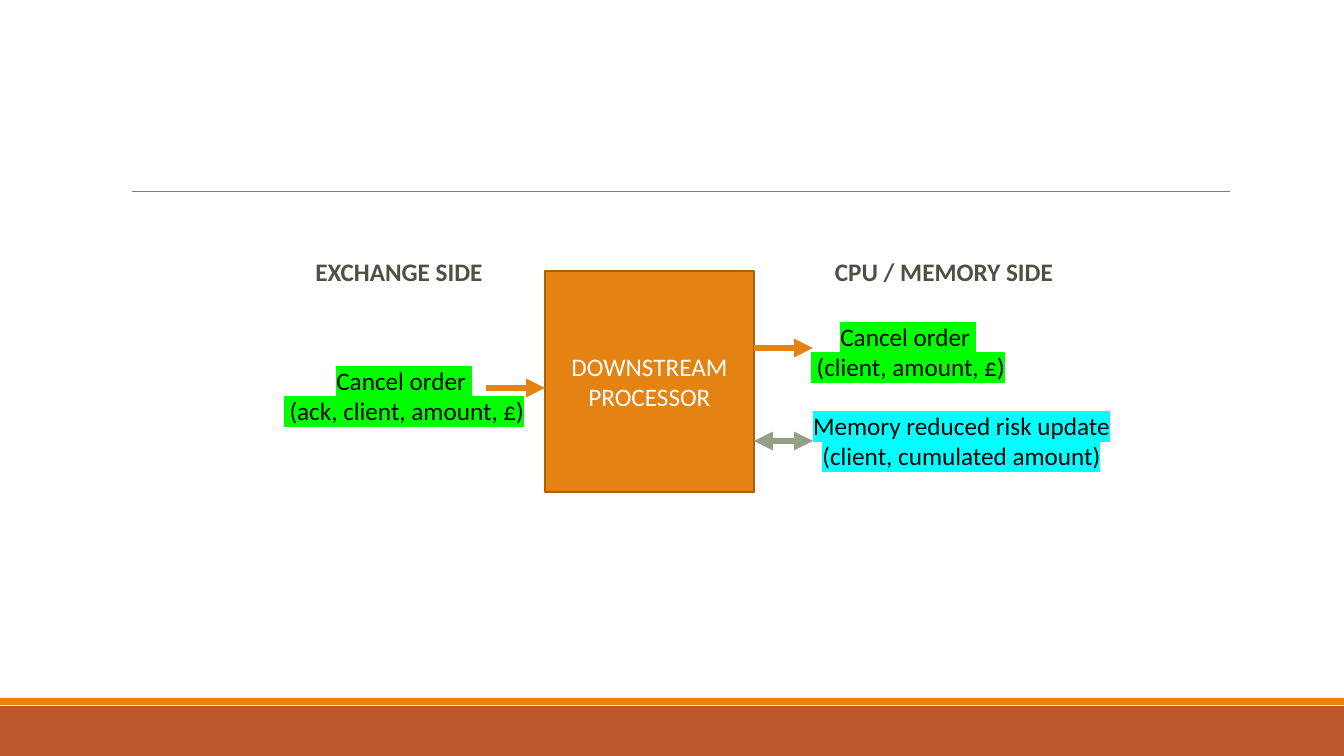
from lxml import etree
from pptx import Presentation
from pptx.dml.color import RGBColor
from pptx.enum.shapes import MSO_CONNECTOR, MSO_SHAPE
from pptx.enum.text import MSO_ANCHOR, PP_ALIGN
from pptx.oxml.ns import qn
from pptx.util import Pt

PX = 914400 / 100.8
WIDTH, HEIGHT = 1344, 756
RECT = MSO_SHAPE.RECTANGLE
STRAIGHT = MSO_CONNECTOR.STRAIGHT
CENTER = PP_ALIGN.CENTER
MIDDLE = MSO_ANCHOR.MIDDLE
TOP = MSO_ANCHOR.TOP

ORANGE, RUST, SAGE = "E48312", "BD582C", "94A088"
GREEN, CYAN = "00FF00", "00FFFF"
BODY = {"name": "Calibri", "size": Pt(18), "bold": False}
HEADING = {**BODY, "bold": True}


def px(*values):
    return [round(v * PX) for v in values]


def rgb(value):
    return RGBColor.from_string(value)


def add_rect(slide, box, fill, line=None):
    sp = slide.shapes.add_shape(RECT, *px(*box))
    sp.shadow.inherit = False
    sp.fill.solid()
    sp.fill.fore_color.rgb = rgb(fill)
    if line:
        sp.line.color.rgb = rgb(line)
        sp.line.width = Pt(1.25)
    else:
        sp.line.fill.background()
    return sp


def add_line(slide, start, end, color, width, heads=()):
    cxn = slide.shapes.add_connector(STRAIGHT, *px(*start, *end))
    cxn.line.color.rgb = rgb(color)
    cxn.line.width = Pt(width)
    ln = cxn.line._get_or_add_ln()
    for head in heads:
        etree.SubElement(ln, qn(f"a:{head}"), type="triangle")
    etree.SubElement(cxn._element.spPr, qn("a:effectLst"))


def write(sp, lines, color, font=BODY, anchor=TOP, highlight=None):
    tf = sp.text_frame
    tf.word_wrap = True
    tf.vertical_anchor = anchor
    for i, text in enumerate(lines):
        p = tf.add_paragraph() if i else tf.paragraphs[0]
        p.alignment = CENTER
        r = p.add_run()
        r.text = text
        for name, value in font.items():
            setattr(r.font, name, value)
        r.font.color.rgb = rgb(color)
        if highlight:
            mark = etree.Element(qn("a:highlight"))
            etree.SubElement(mark, qn("a:srgbClr"), val=highlight)
            r._r.rPr.find(qn("a:solidFill")).addnext(mark)


def add_label(slide, box, lines, color="000000", **style):
    write(slide.shapes.add_textbox(*px(*box)), lines, color, **style)


def add_frame(slide, x, y, w, h):
    bottom = y + h
    add_rect(slide, (x, bottom - 50, w, 50), RUST)
    add_rect(slide, (x, bottom - 58, w, 7), ORANGE)
    add_line(slide, (x + 132, y + 191), (x + 1230, y + 191), "808080", 0.5)


def add_diagram(slide, x, y, w, h):
    left, right = x + 277, x + 486
    sp = add_rect(slide, (left, y + 20, right - left, h - 20), ORANGE, "A9610D")
    write(sp, ["DOWNSTREAM PROCESSOR"], "FFFFFF", anchor=MIDDLE)

    for hx, text in ((x, "EXCHANGE SIDE"), (right + 59, "CPU / MEMORY SIDE")):
        add_label(slide, (hx, y, 262, 40), [text], "4A5242", font=HEADING)

    for ax, dy, color, heads in (
        (left - 59, 137, ORANGE, ["tailEnd"]),
        (right, 97, ORANGE, ["tailEnd"]),
        (right, 190, SAGE, ["headEnd", "tailEnd"]),
    ):
        add_line(slide, (ax, y + dy), (ax + 59, y + dy), color, 4.5, heads)

    for dx, dy, width, lines, mark in (
        (2, 109, 268, ["Cancel order ", " (ack, client, amount, £)"], GREEN),
        (506, 65, 268, ["Cancel order ", " (client, amount, £)"], GREEN),
        (w - 333, 154, 333,
         ["Memory reduced risk update (client, cumulated amount)"], CYAN),
    ):
        add_label(slide, (x + dx, y + dy, width, 72), lines, highlight=mark)


def main():
    prs = Presentation()
    prs.slide_width, prs.slide_height = px(WIDTH, HEIGHT)
    slide = prs.slides.add_slide(prs.slide_layouts[6])
    add_frame(slide, 0, 0, WIDTH, HEIGHT)
    add_diagram(slide, 268, 251, 860, 241)
    prs.save("out.pptx")


if __name__ == "__main__":
    main()
